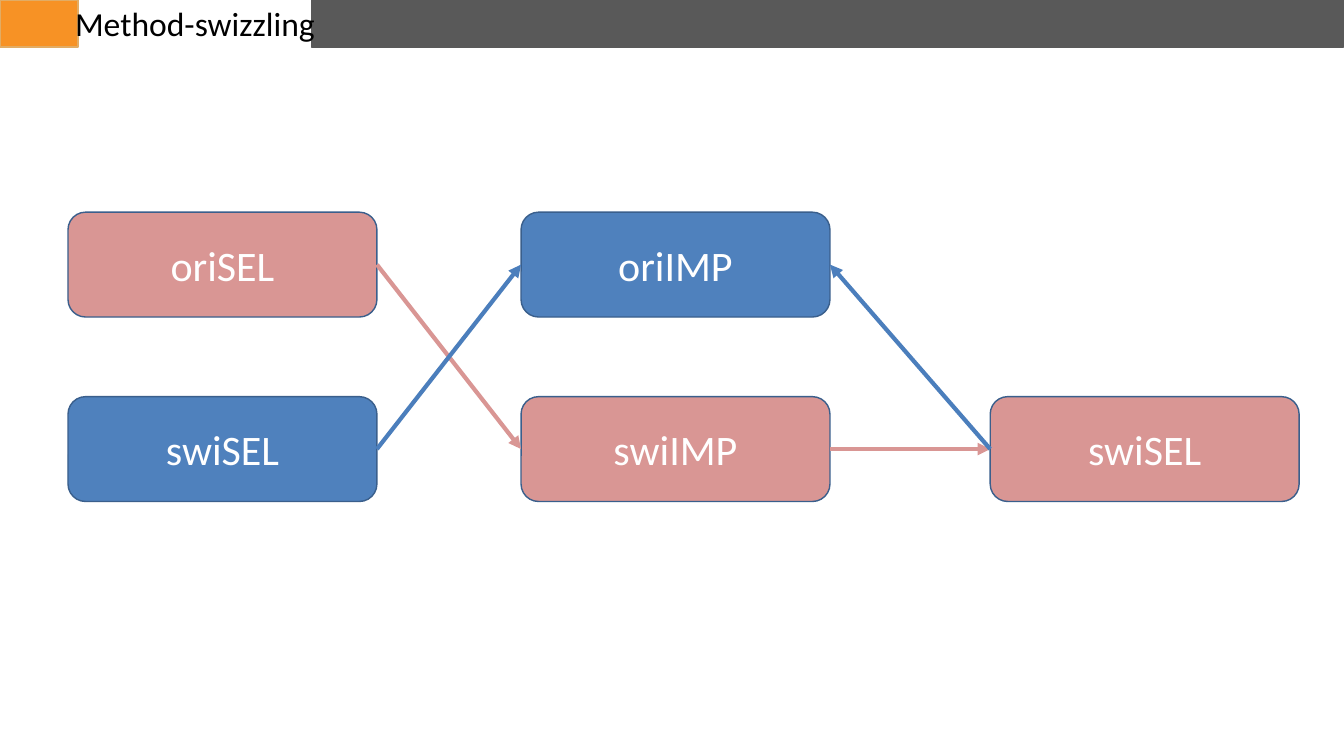
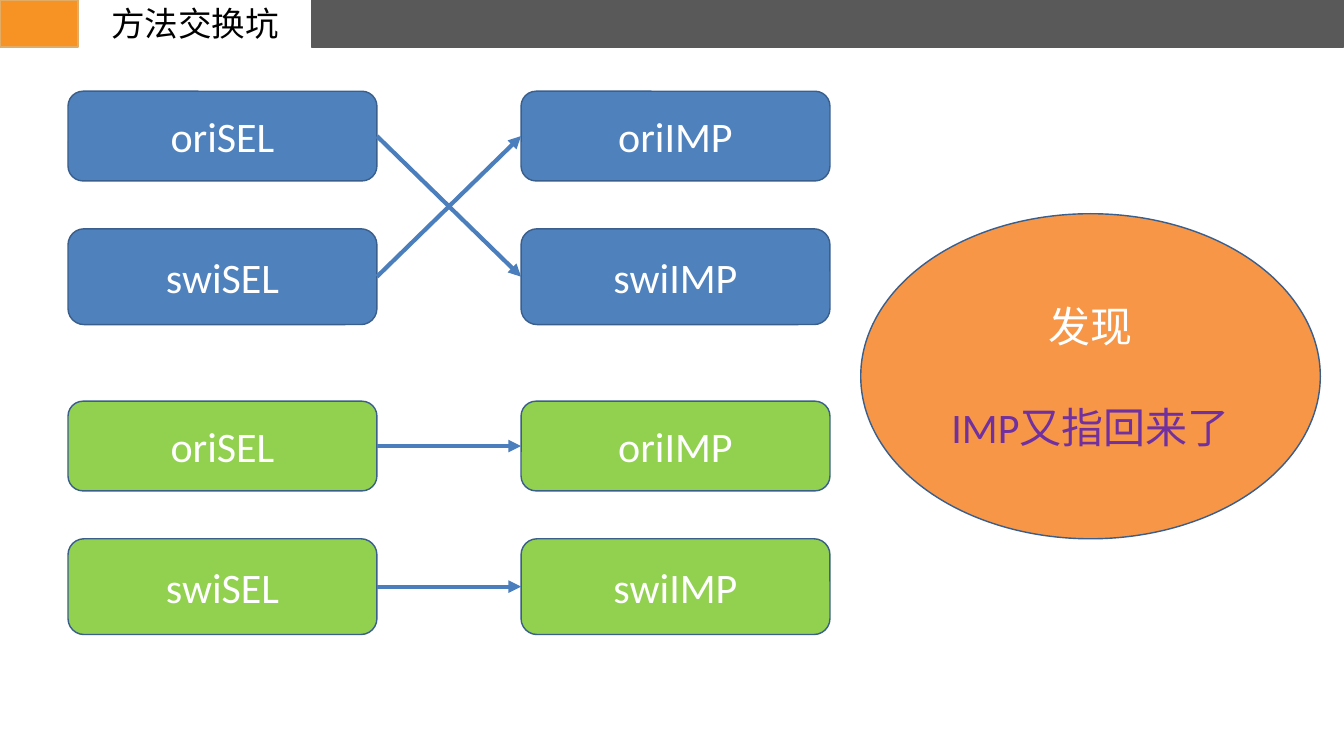
import pptx
import pptx.util
import pptx.dml.color
import pptx.enum.shapes
import pptx.enum.text
import pptx.oxml
import pptx.oxml.ns

Inches = pptx.util.Inches
Pt = pptx.util.Pt
RGBColor = pptx.dml.color.RGBColor
Shape = pptx.enum.shapes.MSO_SHAPE

GREY = RGBColor(0x59, 0x59, 0x59)
ORANGE = RGBColor(0xF7, 0x92, 0x25)
SAND = RGBColor(0xE2, 0xAC, 0x64)
BLACK = RGBColor(0, 0, 0)
WHITE = RGBColor(0xFF, 0xFF, 0xFF)
PINK = RGBColor(0xD9, 0x96, 0x94)
BLUE = RGBColor(0x4F, 0x81, 0xBD)
GREEN = RGBColor(0x92, 0xD0, 0x50)
APRICOT = RGBColor(0xF7, 0x96, 0x46)
PURPLE = RGBColor(0x70, 0x30, 0xA0)
OUTLINE = RGBColor(0x3A, 0x5F, 0x8C)
ARROW_BLUE = RGBColor(0x4B, 0x7E, 0xBC)

FONT = "Calibri"
PAGE_WIDTH, PAGE_HEIGHT = 26.67, 15
NODE_WIDTH = 6.13
COLUMN_STEP = 8.99
LEFT_SITE, RIGHT_SITE = 1, 3


def add_filled_shape(page, kind, box, fill, line):
    """Add a flat preset shape in the box (left, top, width, height)."""
    shape = page.shapes.add_shape(kind, *map(Inches, box))
    shape.shadow.inherit = False
    shape.fill.solid()
    shape.fill.fore_color.rgb = fill
    shape.line.color.rgb = line
    shape.line.width = Pt(2)
    return shape


def format_paragraph(para, size, color):
    """Centre a paragraph and set its font."""
    para.alignment = pptx.enum.text.PP_ALIGN.CENTER
    para.font.name = FONT
    para.font.size = Pt(size)
    para.font.color.rgb = color


def add_layout_bands(layout, page):
    """Put the grey band and the orange corner behind every page of the layout."""
    bands = [((6.18, 0, 20.48, 0.93), GREY, GREY),
             ((0, 0, 1.55, 0.93), ORANGE, SAND)]
    for position, (box, fill, line) in enumerate(bands, start=2):
        band = add_filled_shape(page, Shape.RECTANGLE, box, fill, line)
        layout.shapes.element.insert(position, band.element)


def set_title(page, text):
    """Place and format the page title in the gap between the bands."""
    title = page.shapes.title
    title.left, title.top, title.width, title.height = map(Inches, (1.35, 0, 5.04, 0.91))
    frame = title.text_frame
    frame.text = text
    frame.auto_size = pptx.enum.text.MSO_AUTO_SIZE.NONE
    frame.vertical_anchor = pptx.enum.text.MSO_ANCHOR.MIDDLE
    frame.word_wrap = True
    frame.margin_left = frame.margin_right = 0
    format_paragraph(frame.paragraphs[0], 48, BLACK)


def add_node(page, box, text, fill):
    """Add a labelled rounded box."""
    node = add_filled_shape(page, Shape.ROUNDED_RECTANGLE, box, fill, OUTLINE)
    frame = node.text_frame
    frame.text = text
    frame.vertical_anchor = pptx.enum.text.MSO_ANCHOR.MIDDLE
    format_paragraph(frame.paragraphs[0], 60, WHITE)
    return node


def add_arrow(page, start, end, color=ARROW_BLUE, start_site=RIGHT_SITE, end_site=LEFT_SITE):
    """Join two nodes with a straight arrow."""
    arrow = page.shapes.add_connector(pptx.enum.shapes.MSO_CONNECTOR.STRAIGHT, 0, 0, 0, 0)
    arrow.begin_connect(start, start_site)
    arrow.end_connect(end, end_site)
    arrow.line.color.rgb = color
    arrow.line.width = Pt(6)
    line = arrow.line._get_or_add_ln()
    head = pptx.oxml.parse_xml(f'<a:tailEnd {pptx.oxml.ns.nsdecls("a")} type="triangle"/>')
    line.append(head)
    effects = pptx.oxml.parse_xml(f'<a:effectLst {pptx.oxml.ns.nsdecls("a")}/>')
    line.getparent().append(effects)


def add_method_grid(page, left, top, row_step, heights, fills):
    """Add selectors beside implementations and return the nodes by name."""
    nodes = {}
    for row, prefix in enumerate(("ori", "swi")):
        for column, suffix in enumerate(("SEL", "IMP")):
            name = prefix + suffix
            box = (left + column * COLUMN_STEP, top + row * row_step, NODE_WIDTH, heights[row])
            nodes[name] = add_node(page, box, name, fills[row][column])
    return nodes


def add_remark(page, box):
    """Add the oval with the finding."""
    oval = add_filled_shape(page, Shape.OVAL, box, APRICOT, OUTLINE)
    frame = oval.text_frame
    frame.vertical_anchor = pptx.enum.text.MSO_ANCHOR.MIDDLE
    frame.text = "发现\nIMP又指回来了"
    for para, color in zip(frame.paragraphs, (WHITE, PURPLE)):
        format_paragraph(para, 60, color)
    frame.paragraphs[1].space_before = Pt(73)


def build_swizzling_page(page):
    """Show the exchanged methods and the call that leads back."""
    set_title(page, "Method-swizzling")
    left, top, row_step, height = 1.35, 4.21, 3.66, 2.08
    nodes = add_method_grid(page, left, top, row_step, (height, height),
                            ((PINK, BLUE), (BLUE, PINK)))
    call = add_node(page, (19.65, top + row_step, NODE_WIDTH, height), "swiSEL", PINK)
    add_arrow(page, nodes["oriSEL"], nodes["swiIMP"], PINK)
    add_arrow(page, nodes["swiSEL"], nodes["oriIMP"])
    add_arrow(page, nodes["swiIMP"], call, PINK)
    add_arrow(page, call, nodes["oriIMP"], start_site=LEFT_SITE, end_site=RIGHT_SITE)


def build_pitfall_page(page):
    """Compare one exchange with a second one that undoes it."""
    set_title(page, "方法交换坑")
    groups = [(1.81, BLUE, ("swiIMP", "oriIMP")),
              (7.96, GREEN, ("oriIMP", "swiIMP"))]
    for top, fill, targets in groups:
        nodes = add_method_grid(page, 1.35, top, 2.73, (1.78, 1.9), ((fill, fill),) * 2)
        for source, target in zip(("oriSEL", "swiSEL"), targets):
            add_arrow(page, nodes[source], nodes[target])
    add_remark(page, (17.08, 4.24, 9.12, 6.45))


def main():
    """Build the deck and save it."""
    deck = pptx.Presentation()
    deck.slide_width, deck.slide_height = Inches(PAGE_WIDTH), Inches(PAGE_HEIGHT)
    layout = deck.slide_layouts.get_by_name("Title Only")
    pages = [deck.slides.add_slide(layout) for _ in range(2)]
    add_layout_bands(layout, pages[0])
    build_swizzling_page(pages[0])
    build_pitfall_page(pages[1])
    deck.save("out.pptx")


main()
